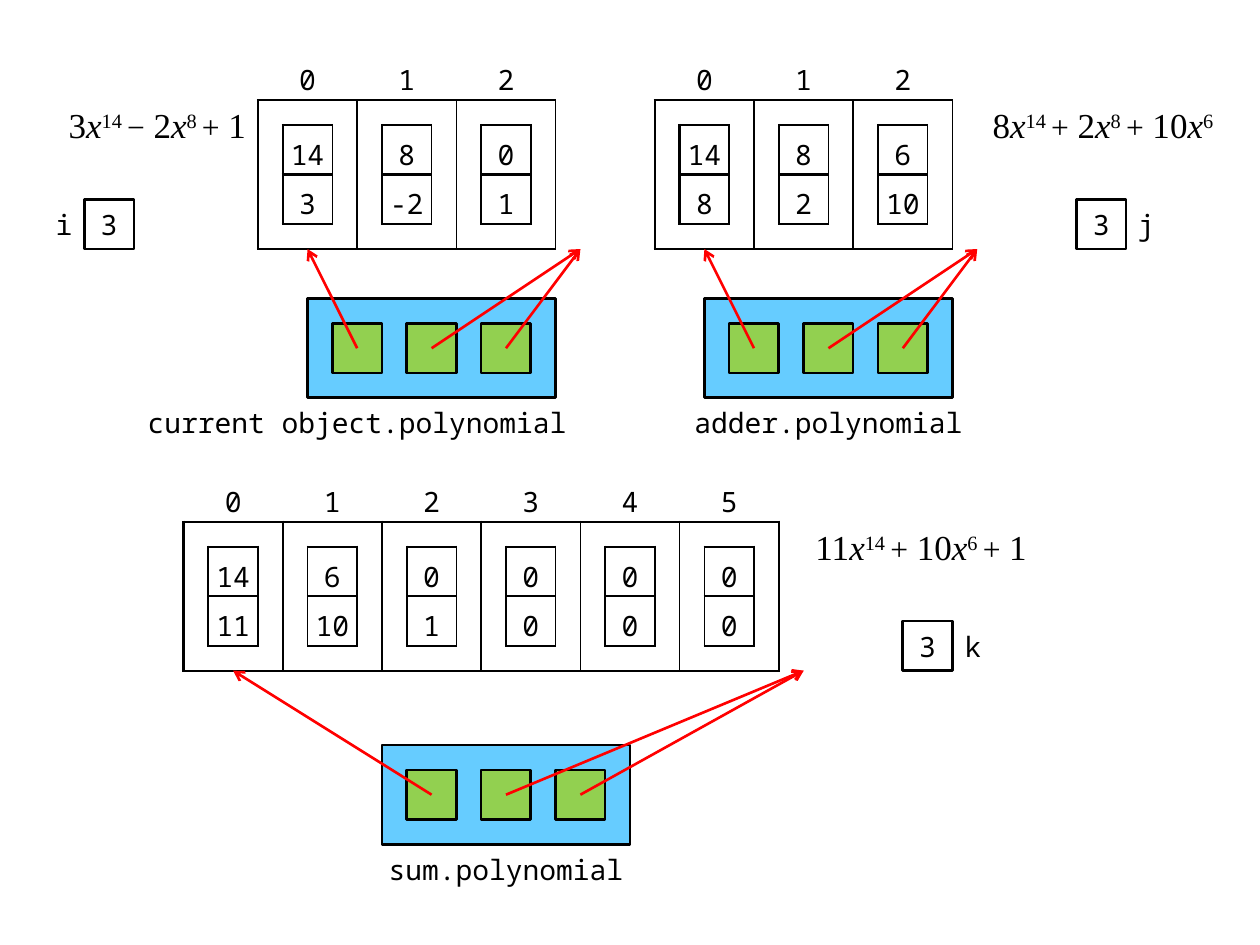
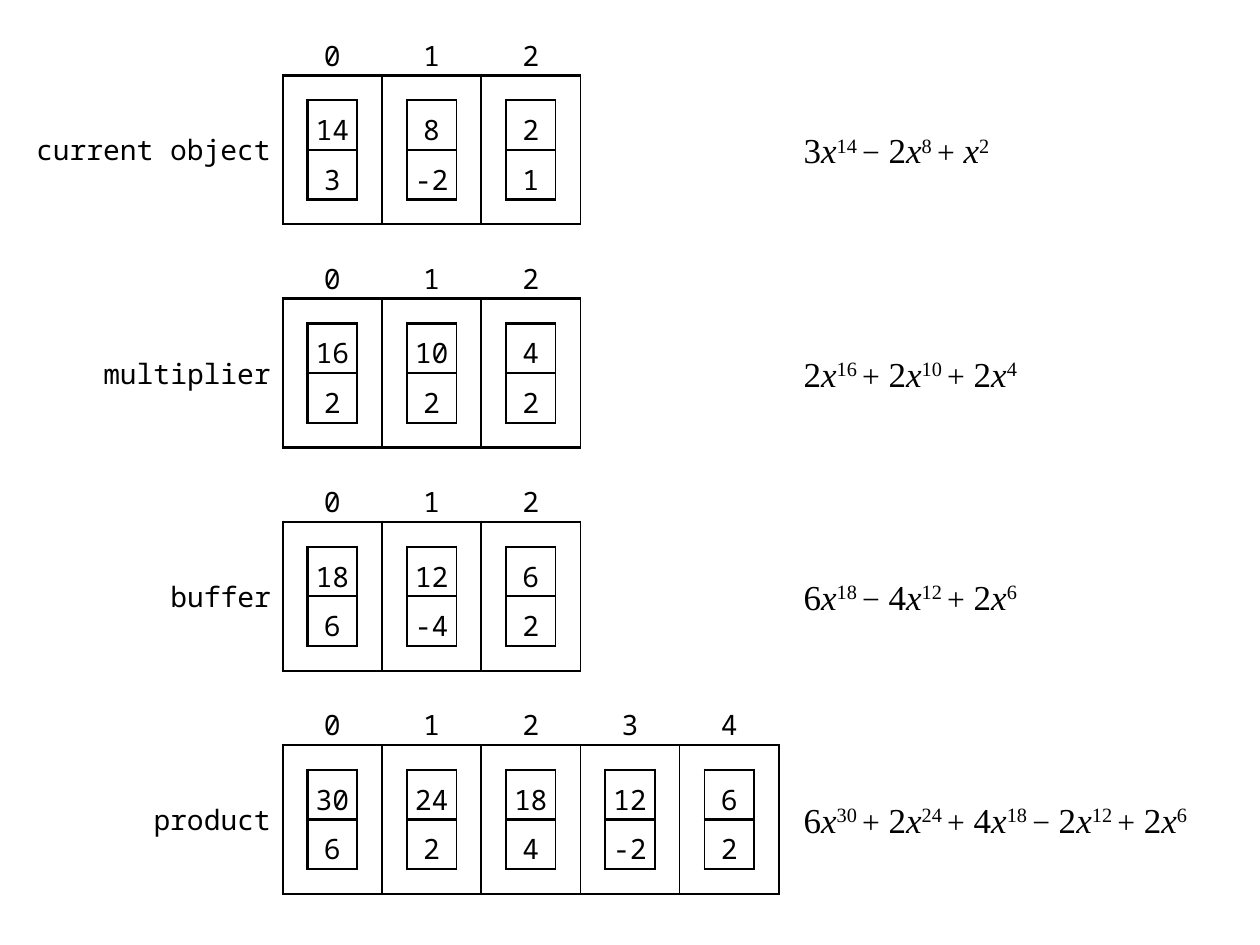
from lxml import etree
from pptx import Presentation
from pptx import util as u
from pptx.dml.color import RGBColor
from pptx.enum import shapes, text
from pptx.oxml.ns import qn

PX = 7200
BLACK = RGBColor(0x00, 0x00, 0x00)
WHITE = RGBColor(0xFF, 0xFF, 0xFF)
RED = RGBColor(0xFF, 0x00, 0x00)
BLUE = RGBColor(0x66, 0xCC, 0xFF)
GREEN = RGBColor(0x92, 0xD0, 0x50)
MONO, SERIF = "Noto Sans Mono", "Times New Roman"
LEFT, CENTER, RIGHT = text.PP_ALIGN.LEFT, text.PP_ALIGN.CENTER, text.PP_ALIGN.RIGHT
RECT = shapes.MSO_SHAPE.RECTANGLE
PROCESS = shapes.MSO_SHAPE.FLOWCHART_PROCESS
MARGIN = 12
UNIT = 50
COLUMN = 2 * UNIT
ARRAY_HEIGHT = 4 * UNIT


def px(*lengths):
    return [u.Emu(n * PX) for n in lengths]


def write(p, value, font=MONO, size=16, italic=False, raised=False, align=None, spacing=None):
    r = p.add_run()
    r.text = value
    r.font.name = font
    r.font.size = u.Pt(size)
    r.font.italic = italic
    r.font.color.rgb = BLACK
    if raised:
        r._r.get_or_add_rPr().set("baseline", "30000")
    if align is not None:
        p.alignment = align
    if spacing:
        p.line_spacing = spacing


def frame(sp, left=MARGIN, right=MARGIN):
    tf = sp.text_frame
    tf.word_wrap = True
    tf.vertical_anchor = text.MSO_ANCHOR.MIDDLE
    tf.margin_left, tf.margin_right, tf.margin_top, tf.margin_bottom = px(left, right, 0, 0)
    return tf.paragraphs[0]


def label(s, x, y, w, value, align=CENTER, left=MARGIN):
    sp = s.shapes.add_textbox(*px(x, y, w, UNIT))
    write(frame(sp, left), value, align=align)


def formula(s, x, y, w, value, align=LEFT, left=MARGIN, right=MARGIN):
    p = frame(s.shapes.add_textbox(*px(x, y, w, UNIT)), left, right)
    p.alignment = align
    parts = value.split(" ")
    last = len(parts) - 1
    for i, part in enumerate(parts):
        if part in "+−":
            write(p, part, SERIF, 18)
            continue
        factor, x_sign, power = part.partition("x")
        lead = (" " if i else "") + factor
        if lead:
            write(p, lead, SERIF, 20)
        if x_sign:
            write(p, x_sign, SERIF, 20, italic=True)
            write(p, power + (" " if i < last else ""), SERIF, 20, raised=True)


def box(s, x, y, w, h, color, kind=RECT):
    sp = s.shapes.add_shape(kind, *px(x, y, w, h))
    sp.shadow.inherit = False
    sp.fill.solid()
    sp.fill.fore_color.rgb = color
    sp.line.color.rgb = BLACK
    sp.line.width = u.Pt(1.5)
    return sp


def counter(s, x, y, value, name, name_x, align):
    write(frame(box(s, x, y, UNIT, UNIT, WHITE), 0, 0), value, align=CENTER)
    label(s, name_x, y, UNIT, name, align)


def arrow(s, x1, y1, x2, y2):
    cn = s.shapes.add_connector(shapes.MSO_CONNECTOR.STRAIGHT, *px(x1, y1, x2, y2))
    cn.line.color.rgb = RED
    cn.line.width = u.Pt(1.5)
    etree.SubElement(cn.line._get_or_add_ln(), qn("a:tailEnd"), type="arrow")
    etree.SubElement(cn._element.spPr, qn("a:effectLst"))


def set_borders(cell, left, right, top, bottom):
    tcPr = cell._tc.get_or_add_tcPr()
    for i, (side, width) in enumerate(zip("LRTB", (left, right, top, bottom))):
        ln = etree.Element(qn("a:ln" + side), w=str(u.Pt(width)))
        if width:
            fill = etree.SubElement(ln, qn("a:solidFill"))
            etree.SubElement(fill, qn("a:srgbClr"), val=str(BLACK))
        else:
            etree.SubElement(ln, qn("a:noFill"))
        tcPr.insert(i, ln)


def table(s, x, y, col_w, heights, rows, borders):
    cols = len(rows[0])
    gf = s.shapes.add_table(len(rows), cols, *px(x, y, col_w * cols, sum(heights)))
    tbl = gf.table
    tbl.first_row = tbl.horz_banding = False
    for col in tbl.columns:
        col.width = px(col_w)[0]
    for i, values in enumerate(rows):
        tbl.rows[i].height = px(heights[i])[0]
        for j, value in enumerate(values):
            cell = tbl.cell(i, j)
            cell.margin_left = cell.margin_right = cell.margin_top = cell.margin_bottom = 0
            cell.vertical_anchor = text.MSO_ANCHOR.MIDDLE
            cell.fill.background()
            set_borders(cell, *borders(i, j))
            if value:
                write(cell.text_frame.paragraphs[0], value, align=CENTER, spacing=1.25)


def array(s, x, y, terms):
    n = len(terms)

    def outer(i, j):
        if i == 0:
            return 0, 0, 0, 1.5
        return 1 if j else 1.5, 1.5 if j == n - 1 > 2 else 1, 1.5, 1.5

    indexes = [str(j) for j in range(n)]
    table(s, x, y, COLUMN, (UNIT, 3 * UNIT), (indexes, [""] * n), outer)
    for j, (exponent, factor) in enumerate(terms):
        edge = 1 if j else 1.5
        table(s, x + UNIT // 2 + COLUMN * j, y + UNIT * 3 // 2, UNIT, (UNIT, UNIT),
              ([str(exponent)], [str(factor)]), lambda row, col: (edge, 1, 1.5, 1.5))


def polynomial(s, x, y, terms, object_x, object_y, name, name_x, name_w):
    array(s, x, y, terms)
    box(s, object_x, object_y, 250, 100, BLUE, PROCESS)
    end = x + COLUMN * len(terms) + 25
    tips = (x + UNIT, end, end)
    fields = [object_x + 25 + 75 * i for i in range(3)]
    for field in fields:
        box(s, field, object_y + 25, UNIT, UNIT, GREEN)
    for field, tip in zip(fields, tips):
        arrow(s, field + 25, object_y + 50, tip, y + ARRAY_HEIGHT)
    label(s, name_x, object_y + 100, name_w, name)


def addition(s):
    polynomial(s, 260, 51, [(14, 3), (8, -2), (0, 1)], 310, 301,
               "current object.polynomial", 135, 450)
    polynomial(s, 660, 51, [(14, 8), (8, 2), (6, 10)], 710, 301,
               "adder.polynomial", 685, 300)
    polynomial(s, 185, 476, [(14, 11), (6, 10), (0, 1)] + [(0, 0)] * 3, 385, 751,
               "sum.polynomial", 360, 300)
    formula(s, 35, 101, 225, "3x14 − 2x8 + 1", RIGHT, left=10)
    formula(s, 960, 101, 275, "8x14 + 2x8 + 10x6", RIGHT)
    formula(s, 810, 526, 275, "11x14 + 10x6 + 1")
    counter(s, 85, 201, "3", "i", 35, RIGHT)
    counter(s, 1085, 201, "3", "j", 1135, LEFT)
    counter(s, 910, 626, "3", "k", 960, LEFT)


def multiplication(s):
    rows = (
        ("current object", 10, [(14, 3), (8, -2), (2, 1)], "3x14 − 2x8 + x2", 225),
        ("multiplier", 85, [(16, 2), (10, 2), (4, 2)], "2x16 + 2x10 + 2x4", 250),
        ("buffer", 160, [(18, 6), (12, -4), (6, 2)], "6x18 − 4x12 + 2x6", 275),
        ("product", 135, [(30, 6), (24, 2), (18, 4), (12, -2), (6, 2)],
         "6x30 + 2x24 + 4x18 − 2x12 + 2x6", 450),
    )
    array_x = 285
    for i, (name, name_x, terms, value, w) in enumerate(rows):
        y = 26 + 225 * i
        array(s, array_x, y, terms)
        label(s, name_x, y + 100, array_x - name_x, name, RIGHT, left=10)
        formula(s, 810, y + 100, w, value, left=0, right=0)


def main():
    prs = Presentation()
    prs.slide_width, prs.slide_height = u.Inches(10), u.Inches(7.5)
    for draw in (addition, multiplication):
        draw(prs.slides.add_slide(prs.slide_layouts[6]))
    prs.save("out.pptx")


if __name__ == "__main__":
    main()
